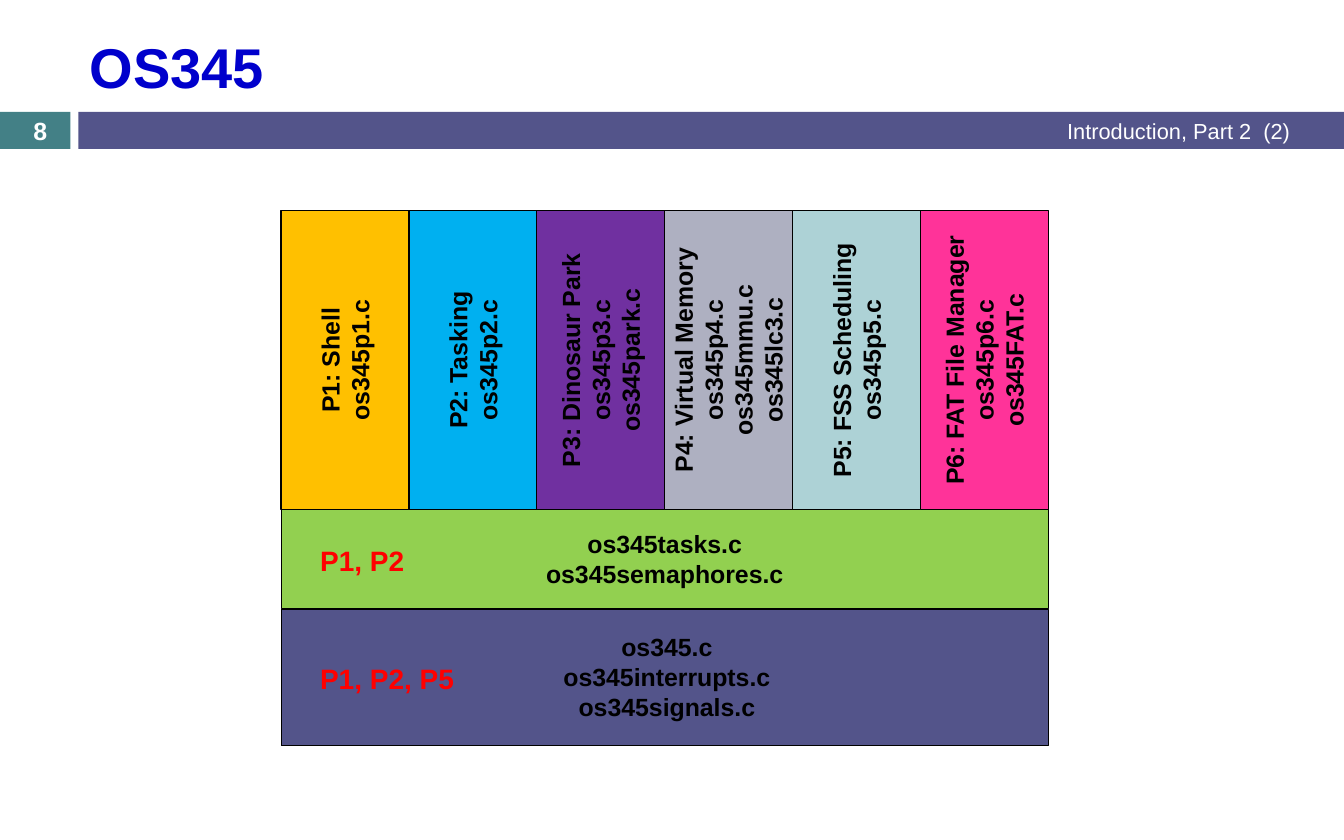
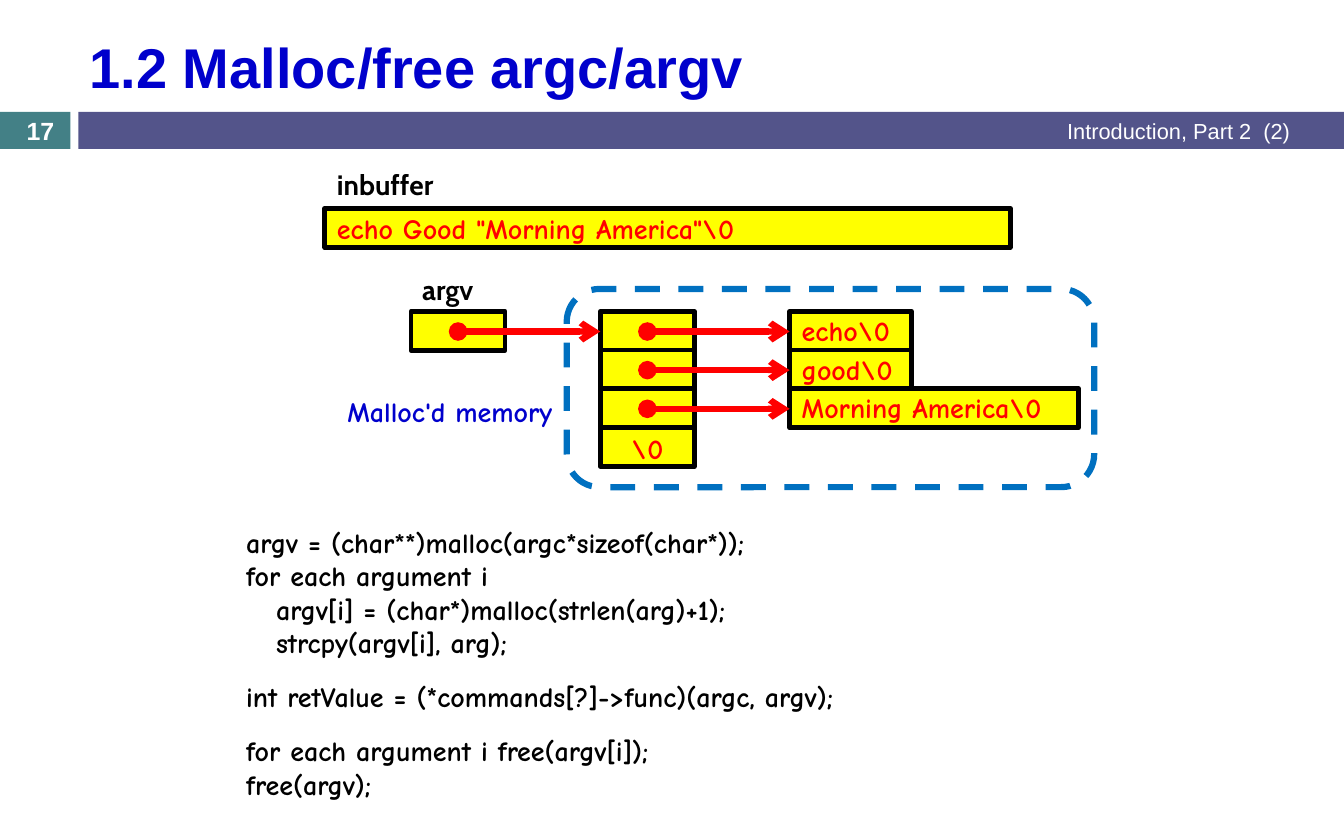
from lxml import etree
from pptx import Presentation
from pptx.dml.color import RGBColor
from pptx.enum.dml import MSO_LINE
from pptx.enum.shapes import MSO_CONNECTOR, MSO_SHAPE
from pptx.enum.text import MSO_ANCHOR, MSO_AUTO_SIZE, PP_ALIGN
from pptx.oxml.ns import qn
from pptx.util import Inches, Pt

RECT, ROUNDED = MSO_SHAPE.RECTANGLE, MSO_SHAPE.ROUNDED_RECTANGLE
STRAIGHT, DASH = MSO_CONNECTOR.STRAIGHT, MSO_LINE.DASH
LEFT, CENTER, RIGHT = PP_ALIGN.LEFT, PP_ALIGN.CENTER, PP_ALIGN.RIGHT
TOP, MIDDLE = MSO_ANCHOR.TOP, MSO_ANCHOR.MIDDLE
TITLE_ONLY = 5

COLORS = {
    "title": "0000CC", "teal": "438086", "indigo": "53548A",
    "white": "FFFFFF", "black": "000000", "red": "FF0000",
    "yellow": "FFFF00", "dash": "0070C0", "green": "92D050",
    "amber": "FFC000", "sky": "00B0F0", "purple": "7030A0",
    "gray": "AEB0C1", "aqua": "ADD2D6", "pink": "FF3399",
}
SANS, LABEL, HAND = "Arial", "Cabin", "Comic Neue"


def rgb(name):
    return RGBColor.from_string(COLORS[name])


class Deck:
    """Holds the shared style and the slide being built."""

    def __init__(self):
        self.prs = Presentation()
        self.prs.slide_width, self.prs.slide_height = Inches(12), Inches(7.5)
        self.slide = None

    def new_slide(self, title, number):
        self.slide = self.prs.slides.add_slide(self.prs.slide_layouts[TITLE_ONLY])
        heading = self.slide.shapes.title
        heading.left, heading.top = Inches(0.7), Inches(0.19)
        heading.width, heading.height = Inches(10.91), Inches(0.8)
        self.style(heading.text_frame, title, 36, "title", anchor=MIDDLE)
        # Band with slide number and lecture name
        self.box(0, 1, 0.63, 0.33, "teal")
        self.box(0.7, 1, 11.3, 0.33, "indigo")
        self.text(6.17, 1, 5.45, 0.33, "Introduction, Part 2  (2)", 14, "white",
                  align=RIGHT, bold=False, anchor=MIDDLE)
        self.text(0, 1.02, 0.72, 0.3, number, 16, "white", align=CENTER, anchor=MIDDLE)

    def style(self, frame, words, size, color, font=SANS, align=LEFT, bold=True, anchor=TOP):
        frame.text = words
        frame.word_wrap = True
        frame.auto_size = MSO_AUTO_SIZE.NONE
        frame.vertical_anchor = anchor
        for paragraph in frame.paragraphs:
            paragraph.alignment = align
            for run in paragraph.runs:
                run.font.name, run.font.size, run.font.bold = font, Pt(size), bold
                run.font.color.rgb = rgb(color)

    def text(self, x, y, w, h, words, size, color, rotation=0, **look):
        area = self.slide.shapes.add_textbox(Inches(x), Inches(y), Inches(w), Inches(h))
        area.rotation = rotation
        self.style(area.text_frame, words, size, color, **look)

    def box(self, x, y, w, h, fill=None, line=None, weight=0.75, kind=RECT, dash=None):
        shape = self.slide.shapes.add_shape(kind, Inches(x), Inches(y), Inches(w), Inches(h))
        shape.shadow.inherit = False
        if fill:
            shape.fill.solid()
            shape.fill.fore_color.rgb = rgb(fill)
        else:
            shape.fill.background()
        if line:
            shape.line.color.rgb = rgb(line)
            shape.line.width = Pt(weight)
            if dash:
                shape.line.dash_style = dash
        else:
            shape.line.fill.background()

    def cell(self, x, y, w):
        self.box(x, y, w, CELL_H, "yellow", "black", 3)

    def pointer(self, x, y, length):
        arrow = self.slide.shapes.add_connector(
            STRAIGHT, Inches(x), Inches(y), Inches(x + length), Inches(y))
        arrow.line.color.rgb = rgb("red")
        arrow.line.width = Pt(4)
        properties = arrow.element.spPr
        outline = properties.find(qn("a:ln"))
        for end, kind in (("a:headEnd", "oval"), ("a:tailEnd", "arrow")):
            etree.SubElement(outline, qn(end)).set("type", kind)
        etree.SubElement(properties, qn("a:effectLst"))


CELL_H = 0.35
PITCH = 0.345


def build_modules(deck):
    deck.new_slide("OS345", "8")
    left, width, top, height = 2.51, 6.85, 1.88, 2.67

    # Shared kernel layers
    layers = [
        (5.44, 1.22, "indigo", 4.09, 5.59, "os345.c\nos345interrupts.c\nos345signals.c"),
        (4.54, 0.89, "green", 4.07, 4.67, "os345tasks.c\nos345semaphores.c"),
    ]
    for y, h, fill, files_x, files_y, files in layers:
        deck.box(left, y, width, h, fill, "black")
        deck.text(files_x, files_y, 3.73, h - 0.28, files, 16, "black", align=CENTER)

    # One column per project
    projects = [
        ("amber", "P1: Shell\nos345p1.c"),
        ("sky", "P2: Tasking\nos345p2.c"),
        ("purple", "P3: Dinosaur Park\nos345p3.c\nos345park.c"),
        ("gray", "P4: Virtual Memory\nos345p4.c\nos345mmu.c\nos345lc3.c"),
        ("aqua", "P5: FSS Scheduling\nos345p5.c"),
        ("pink", "P6: FAT File Manager\nos345p6.c\nos345FAT.c"),
    ]
    column_w, label_w = width / len(projects), 2.58
    for i, (fill, files) in enumerate(projects):
        x = left + i * column_w
        label_h = 0.1 + 0.27 * len(files.split("\n"))
        deck.box(x, top, column_w, height, fill, "black")
        deck.text(x + (column_w - label_w) / 2, top + (height - label_h) / 2,
                  label_w, label_h, files, 16, "black", rotation=270, align=CENTER)

    # Projects that use each layer
    deck.text(2.76, 4.8, 1.05, 0.4, "P1, P2", 18, "red")
    deck.text(2.76, 5.86, 1.64, 0.4, "P1, P2, P5", 18, "red")


def build_malloc(deck):
    deck.new_slide("1.2 Malloc/free argc/argv", "17")
    table_x, strings_x, top, slot_w = 5.36, 7.05, 2.78, 0.84

    # Input buffer
    deck.cell(2.9, 1.86, 6.12)
    deck.text(2.91, 1.84, 4.54, 0.4, 'echo Good "Morning America"\\0', 18, "red", font=HAND)
    deck.text(2.91, 1.45, 1.39, 0.4, "inbuffer", 18, "black", font=LABEL)

    # argv and its table of pointers
    deck.cell(3.67, top, slot_w)
    for row in range(4):
        deck.cell(table_x, top + row * PITCH, slot_w)
    deck.pointer(4.09, 2.96, 1.27)
    deck.text(3.67, 2.38, 0.98, 0.4, "argv", 18, "black", font=LABEL)

    # Allocated region
    deck.box(5.06, 2.58, 4.71, 1.77, line="dash", weight=4, kind=ROUNDED, dash=DASH)
    deck.text(2.19, 3.47, 2.84, 0.4, "Malloc'd memory", 18, "title", font=HAND, align=RIGHT)

    # Argument strings
    arguments = [("echo\\0", 1.09), ("good\\0", 1.09), ("Morning America\\0", 2.58)]
    for row, (_, w) in enumerate(arguments):
        deck.cell(strings_x, top + row * PITCH, w)
    for row, (argument, w) in enumerate(arguments):
        y = top + row * PITCH
        deck.text(strings_x + 0.01, y - 0.03, w + 0.2, 0.4, argument, 18, "red", font=HAND)
        deck.pointer(5.78, y + 0.18, 1.27)
    deck.text(table_x, 3.8, slot_w, 0.4, "\\0", 18, "red", font=HAND, align=CENTER)

    # Code
    snippets = [
        (4.64, "argv = (char**)malloc(argc*sizeof(char*));\n"
               "for each argument i\n"
               "   argv[i] = (char*)malloc(strlen(arg)+1);\n"
               "   strcpy(argv[i], arg);"),
        (6.02, "int retValue = (*commands[?]->func)(argc, argv);"),
        (6.5, "for each argument i free(argv[i]);\nfree(argv);"),
    ]
    for y, code in snippets:
        code_h = 0.1 + 0.3 * len(code.split("\n"))
        deck.text(2.1, y, 6.66, code_h, code, 18, "black", font=HAND)


def main():
    deck = Deck()
    build_modules(deck)
    build_malloc(deck)
    deck.prs.save("out.pptx")


if __name__ == "__main__":
    main()
